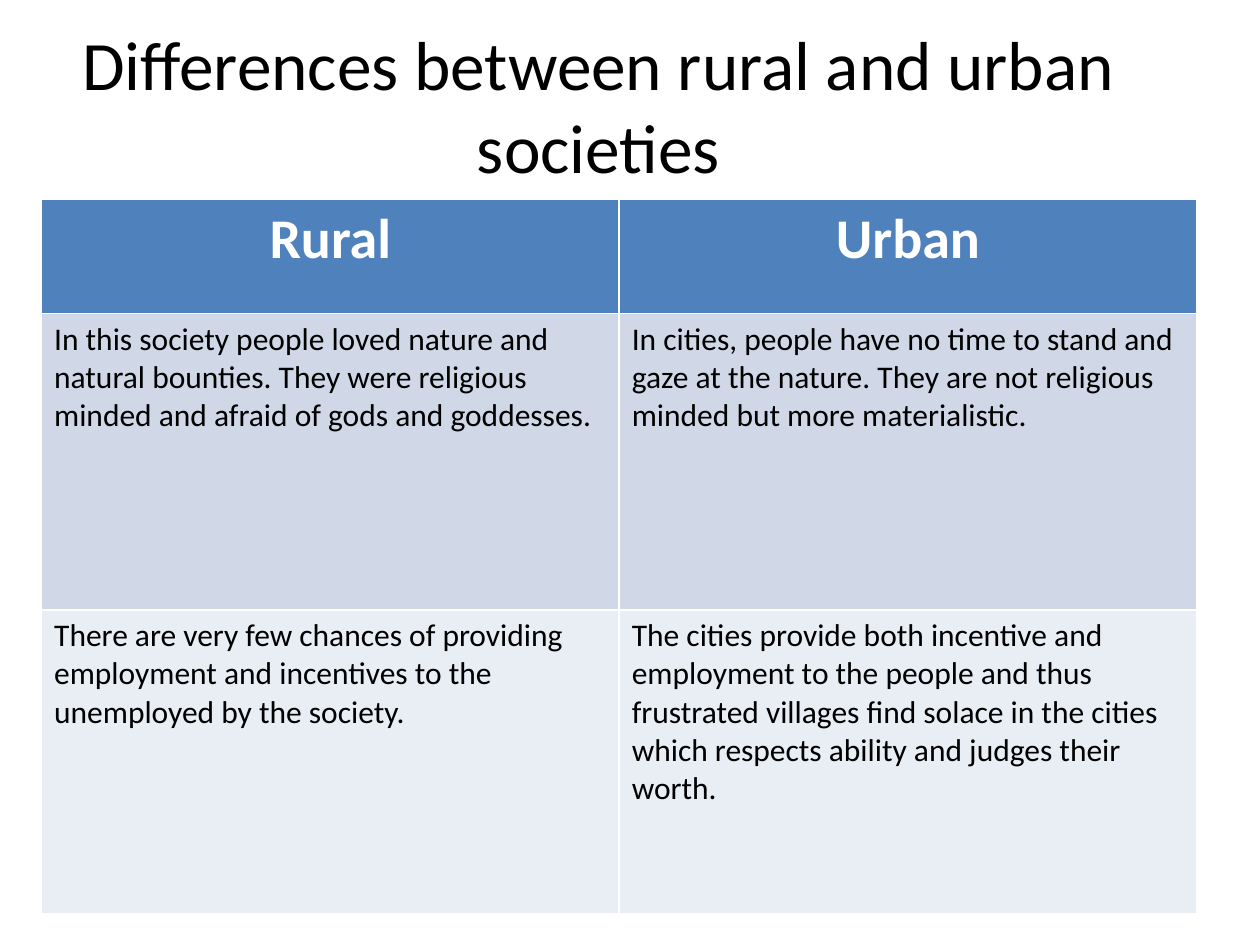
from pptx import Presentation
from pptx.dml.color import RGBColor
from pptx.enum.text import MSO_ANCHOR, MSO_AUTO_SIZE, PP_ALIGN
from pptx.util import Inches, Pt

MIDDLE, FIXED = MSO_ANCHOR.MIDDLE, MSO_AUTO_SIZE.NONE
CENTER, LEFT = PP_ALIGN.CENTER, PP_ALIGN.LEFT
BLACK = RGBColor(0x00, 0x00, 0x00)
WHITE = RGBColor(0xFF, 0xFF, 0xFF)
BLUE = RGBColor(0x4F, 0x81, 0xBD)
MIST = RGBColor(0xD0, 0xD8, 0xE8)
PALE = RGBColor(0xE9, 0xED, 0xF4)

TITLE = "Differences between rural and urban societies"
ROWS = [
    ("Rural", "Urban"),
    ("In this society people loved nature and natural bounties. They were "
     "religious minded and afraid of gods and goddesses.",
     "In cities, people have no time to stand and gaze at the nature. They are "
     "not religious minded but more materialistic."),
    ("There are very few chances of providing employment and incentives to the "
     "unemployed by the society.",
     "The cities provide both incentive and employment to the people and thus "
     "frustrated villages find solace in the cities which respects ability and "
     "judges their worth."),
]
HEIGHTS = (0.91, 2.35, 2.41)
FILLS = (BLUE, MIST, PALE)
TITLE_BOX = (0.5, 0.33, 8.5, 1)
GRID_BOX = (0.33, 1.58, 9.17, sum(HEIGHTS))
TITLE_FONT = {"name": "Calibri", "size": Pt(39.6), "bold": False}
HEAD_FONT = {"name": "Calibri", "size": Pt(32), "bold": True}
BODY_FONT = {"name": "Calibri", "size": Pt(18), "bold": False}


def write(frame, text, form, color, align):
    frame.text = text
    para = frame.paragraphs[0]
    para.alignment = align
    font = para.runs[0].font
    for key, value in form.items():
        setattr(font, key, value)
    font.color.rgb = color


def add_title(slide):
    title = slide.shapes.title
    title.left, title.top, title.width, title.height = map(Inches, TITLE_BOX)
    frame = title.text_frame
    frame.word_wrap = True
    frame.auto_size = FIXED
    frame.vertical_anchor = MIDDLE
    write(frame, TITLE, TITLE_FONT, BLACK, CENTER)


def add_grid(slide):
    box = map(Inches, GRID_BOX)
    table = slide.shapes.add_table(len(ROWS), len(ROWS[0]), *box).table
    for r, (texts, height, fill) in enumerate(zip(ROWS, HEIGHTS, FILLS)):
        table.rows[r].height = Inches(height)
        look = (BODY_FONT, BLACK, LEFT) if r else (HEAD_FONT, WHITE, CENTER)
        for c, text in enumerate(texts):
            cell = table.cell(r, c)
            cell.fill.solid()
            cell.fill.fore_color.rgb = fill
            write(cell.text_frame, text, *look)


def main():
    deck = Presentation()
    deck.slide_width, deck.slide_height = Inches(10), Inches(7.5)
    slide = deck.slides.add_slide(deck.slide_layouts[5])
    add_title(slide)
    add_grid(slide)
    deck.save("out.pptx")


if __name__ == "__main__":
    main()
